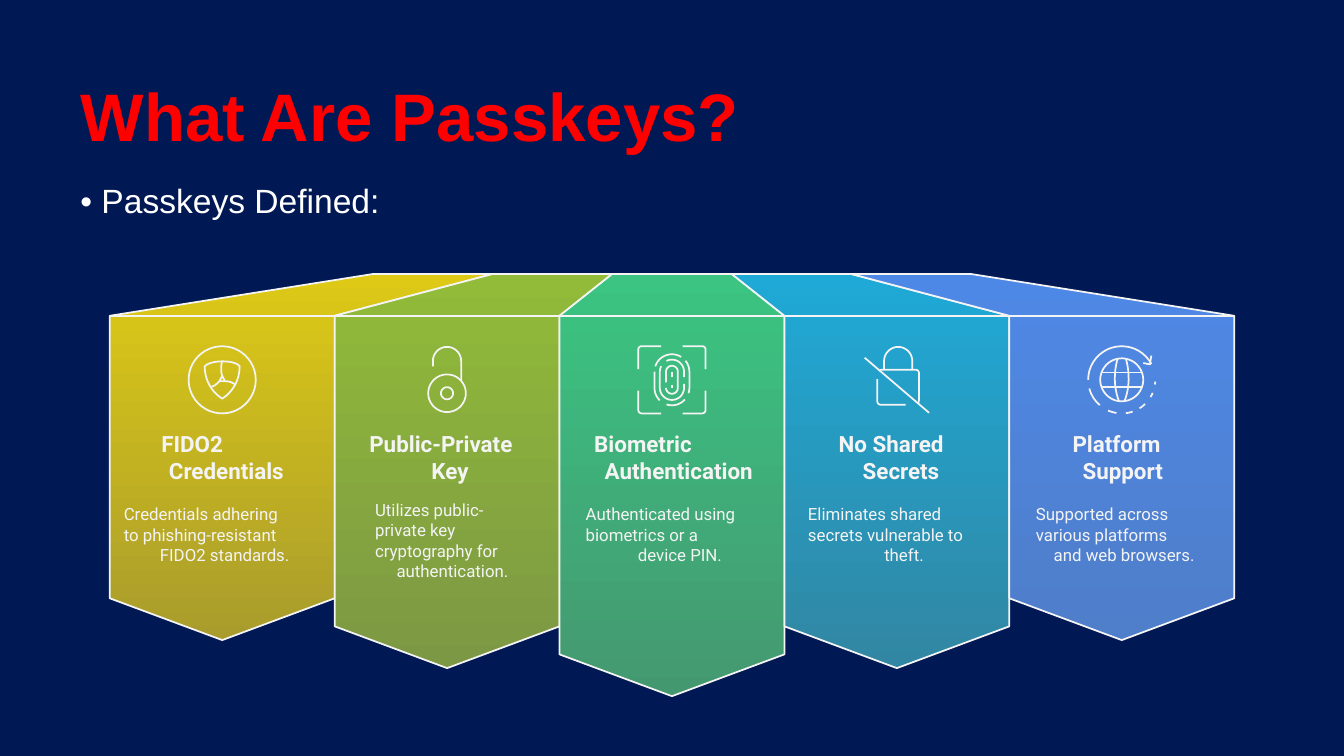
from dataclasses import dataclass
from math import cos, radians, sin

from pptx import Presentation
from pptx.dml.color import RGBColor
from pptx.enum.text import MSO_ANCHOR, MSO_AUTO_SIZE, PP_ALIGN
from pptx.shapes.freeform import FreeformBuilder
from pptx.shapes.autoshape import Shape
from pptx.slide import Slide
from pptx.text.text import TextFrame
from pptx.util import Cm, Pt

Point = tuple[float, float]
Stroke = list[Point]

COLORS = {"background": "001853", "title": "FF0000", "white": "FFFFFF", "light": "F4F4F4"}
CENTER = 12.7
COLUMN_WIDTH = 4.25
RIDGE_WIDTH = 2.26
RIDGE_TOP, EAVES_TOP = 5.18, 5.97
LOWEST_TIP, TIP_STEP, TIP_HEIGHT = 13.16, 0.53, 0.79
ICON_TOP = 7.18
ICON_UNIT = Cm(2.54) / 100


@dataclass(frozen=True)
class Label:
    text: str
    left: float
    top: float
    width: float
    height: float


@dataclass(frozen=True)
class Panel:
    heading: Label
    body: Label
    start_color: str
    end_color: str
    icon: list[Stroke]


def color(value: str) -> RGBColor:
    return RGBColor.from_string(value)


def arc(x: float, y: float, radius: float, start: float, end: float) -> Stroke:
    steps = max(3, int(abs(end - start) / 8))
    angles = [radians(start + (end - start) * step / steps) for step in range(steps + 1)]
    return [(x + radius * cos(angle), y + radius * sin(angle)) for angle in angles]


def circle(x: float, y: float, radius: float) -> Stroke:
    return arc(x, y, radius, 0, 360)


def curve(first: Point, second: Point, third: Point, fourth: Point) -> Stroke:
    def blend(t: float, axis: int) -> float:
        u = 1 - t
        return (u**3 * first[axis] + 3 * u * u * t * second[axis]
                + 3 * u * t * t * third[axis] + t**3 * fourth[axis])
    return [(blend(step / 12, 0), blend(step / 12, 1)) for step in range(13)]


def mirror(stroke: Stroke, across: int = -1, down: int = 1) -> Stroke:
    return [(x * across, y * down) for x, y in stroke]


SHIELD_SIDE = curve((-13, -10), (-13, 0), (-8, 9), (0, 14))
SHIELD = [
    circle(0, 0, 25),
    SHIELD_SIDE + mirror(SHIELD_SIDE)[::-1] + curve((13, -10), (10, -15), (-9, -15), (-13, -10)),
    [(0, -3), (2, 1), (-2, 1), (0, -3)],
    curve((2, 1), (5, 1), (8, 2), (10, 4)),
    curve((0, -3), (-1, -6), (-1, -10), (0, -14)),
    curve((-2, 1), (-4, 3), (-6, 5), (-8, 5)),
]
OPEN_LOCK = [
    circle(0, 10, 14),
    circle(0, 10, 4.5),
    [(-10.5, -10), *arc(0, -14, 10.5, 180, 360), (10.5, 1)],
]
CORNER = [(8, 25), *arc(22.5, 22.5, 2.5, 90, 0), (25, 8)]
FINGERPRINT = [mirror(CORNER, across, down) for across in (-1, 1) for down in (-1, 1)] + [
    arc(0, -6, 13, 198, 302),
    arc(0, -6, 13, 321, 360) + arc(0, 6, 13, 0, 18),
    arc(0, 6, 13, 42, 108),
    arc(0, 6, 13, 134, 180) + [(-13, -6)],
    arc(0, -6, 9, 243, 360) + [(9, -2)],
    [(9, 3), *arc(0, 6, 9, 0, 180), *arc(0, -6, 9, 180, 207)],
    arc(0, 6, 4.4, 180, 0) + arc(0, -6, 4.4, 0, -180) + [(-4.4, 2)],
    [(0, -6), (0, -2)],
    [(0, 4), (0, 6)],
]
CROSSED_LOCK = [
    [(-13, -6.5), (-12, -7.5), *arc(14, -5, 2.5, -90, 0), (16.5, 15), (16, 17.5)],
    [(6.5, 18.5), *arc(-12, 16, 2.5, 90, 180), (-14.5, -0.5)],
    [(-9.5, -7.5), *arc(1, -14, 10.5, 180, 360), (11.5, -7.5)],
    [(-24, -16.5), (24, 24.5)],
]
MERIDIAN = curve((-3, -16), (-6, -6), (-6, 6), (-2, 16))
DASHES = [(131, 165), (99, 114), (71, 83), (46, 58), (23, 31), (3, 8)]
GLOBE = [
    circle(0, 0, 16),
    [(-15, 5.5), (15, 5.5)],
    [(-15, -5.5), (15, -5.5)],
    MERIDIAN,
    mirror(MERIDIAN),
    [(22, -18), (21, -11.5), (16, -12.5)],
    arc(0, 0, 25, 180, 332),
] + [arc(0, 0, 25, start, end) for start, end in DASHES]

PANELS = [
    Panel(Label("FIDO2\nCredentials", 3.05, 8.13, 2.46, 1.3),
          Label("Credentials adhering\nto phishing-resistant\nFIDO2 standards.", 2.34, 9.53, 3.81, 1.4),
          "DDC916", "A99C2C", SHIELD),
    Panel(Label("Public-Private\nKey", 6.98, 8.13, 3.05, 1.3),
          Label("Utilizes public-\nprivate key\ncryptography for\nauthentication.", 7.09, 9.45, 2.92, 1.85),
          "91BB39", "7D9844", OPEN_LOCK),
    Panel(Label("Biometric\nAuthentication", 11.23, 8.13, 3.2, 1.3),
          Label("Authenticated using\nbiometrics or a\ndevice PIN.", 11.07, 9.53, 3.56, 1.4),
          "3BC482", "449870", FINGERPRINT),
    Panel(Label("No Shared\nSecrets", 15.85, 8.13, 2.36, 1.3),
          Label("Eliminates shared\nsecrets vulnerable to\ntheft.", 15.27, 9.53, 3.63, 1.4),
          "1FA9D7", "3187A3", CROSSED_LOCK),
    Panel(Label("Platform\nSupport", 20.27, 8.13, 1.9, 1.3),
          Label("Supported across\nvarious platforms\nand web browsers.", 19.58, 9.53, 3.33, 1.4),
          "4E88E6", "4F7ECA", GLOBE),
]


def draw_strokes(page: Slide, strokes: list[Stroke], unit: float, x: float = 0, y: float = 0) -> Shape:
    placed = [[(x + px * unit, y + py * unit) for px, py in stroke] for stroke in strokes]
    builder: FreeformBuilder = page.shapes.build_freeform(*placed[0][0], scale=1.0)
    for index, stroke in enumerate(placed):
        if index:
            builder.move_to(*stroke[0])
        builder.add_line_segments(stroke[1:], close=False)
    shape = builder.convert_to_shape()
    shape.shadow.inherit = False
    shape.fill.background()
    shape.line.color.rgb = color(COLORS["light"])
    shape.line.width = Pt(0.94)
    return shape


def draw_panel(page: Slide, panel: Panel, index: int) -> None:
    left = CENTER + (index - 2.5) * COLUMN_WIDTH
    right = left + COLUMN_WIDTH
    ridge = CENTER + (index - 2.5) * RIDGE_WIDTH
    tip = LOWEST_TIP - abs(index - 2) * TIP_STEP
    shoulder = tip - TIP_HEIGHT
    outline = [(left, EAVES_TOP), (ridge, RIDGE_TOP), (ridge + RIDGE_WIDTH, RIDGE_TOP),
               (right, EAVES_TOP), (right, shoulder), ((left + right) / 2, tip),
               (left, shoulder), (left, EAVES_TOP)]
    surface = draw_strokes(page, [outline], Cm(1))
    surface.line.fill.background()
    surface.fill.gradient()
    surface.fill.gradient_angle = 270
    for stop, value in zip(surface.fill.gradient_stops, (panel.start_color, panel.end_color)):
        stop.color.rgb = color(value)
    draw_strokes(page, [outline, [(left, EAVES_TOP), (right, EAVES_TOP)]], Cm(1))


def write(frame: TextFrame, text: str, size: float, name: str, value: str, bold: bool = False) -> None:
    paragraph = frame.paragraphs[0]
    paragraph.add_run().text = text
    paragraph.font.size = Pt(size)
    paragraph.font.name = name
    paragraph.font.bold = bold
    paragraph.font.color.rgb = color(value)


def draw_label(page: Slide, label: Label, size: float, bold: bool) -> None:
    box = page.shapes.add_textbox(Cm(label.left), Cm(label.top), Cm(label.width), Cm(label.height))
    frame = box.text_frame
    frame.margin_left = frame.margin_right = frame.margin_top = frame.margin_bottom = 0
    frame.word_wrap = False
    frame.auto_size = MSO_AUTO_SIZE.SHAPE_TO_FIT_TEXT
    write(frame, label.text, size, "Roboto", COLORS["light"], bold)
    frame.paragraphs[0].alignment = PP_ALIGN.CENTER


def main() -> None:
    deck = Presentation()
    deck.slide_width, deck.slide_height = Cm(25.4), Cm(14.29)
    page = deck.slides.add_slide(deck.slide_layouts[5])
    page.background.fill.solid()
    page.background.fill.fore_color.rgb = color(COLORS["background"])

    title = page.shapes.title
    title.left, title.top, title.width, title.height = Cm(1.27), Cm(1.27), Cm(22.86), Cm(3.81)
    title.text_frame.vertical_anchor = MSO_ANCHOR.TOP
    title.text_frame.auto_size = MSO_AUTO_SIZE.NONE
    write(title.text_frame, "What Are Passkeys?", 36, "Arial", COLORS["title"], True)
    title.text_frame.paragraphs[0].alignment = PP_ALIGN.LEFT

    subtitle = page.shapes.add_textbox(Cm(1.27), Cm(3.28), Cm(22.86), Cm(1.19))
    subtitle.text_frame.word_wrap = True
    write(subtitle.text_frame, "• Passkeys Defined:", 18, "Arial", COLORS["white"])

    for index, panel in enumerate(PANELS):
        draw_panel(page, panel, index)
    for index, panel in enumerate(PANELS):
        draw_label(page, panel.heading, 12, True)
        draw_label(page, panel.body, 9, False)
        middle = Cm(CENTER + (index - 2) * COLUMN_WIDTH)
        draw_strokes(page, panel.icon, ICON_UNIT, middle, Cm(ICON_TOP))
    deck.save("out.pptx")


if __name__ == "__main__":
    main()
